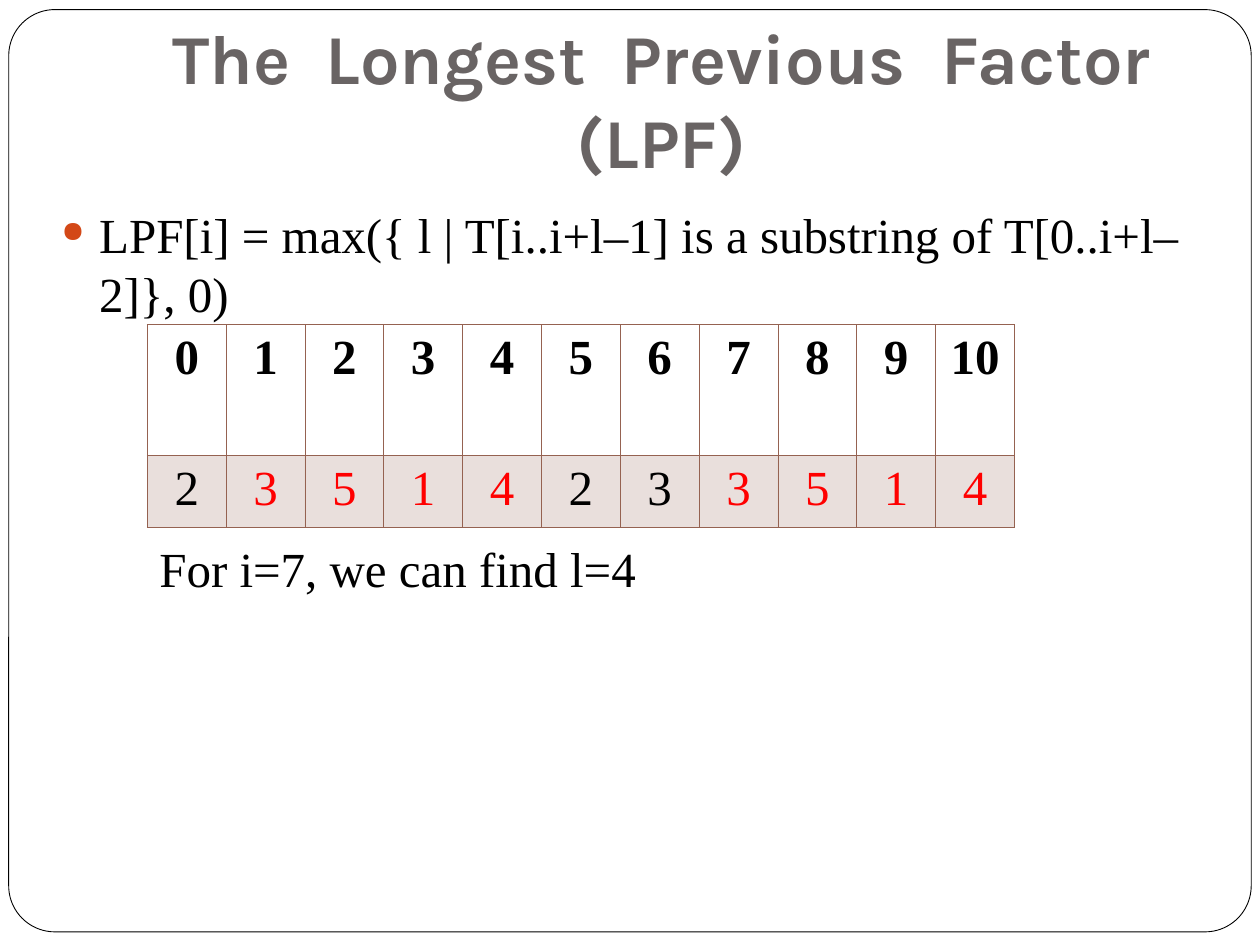
from lxml import etree
from pptx import Presentation
from pptx.dml.color import RGBColor
from pptx.enum import shapes, text
from pptx.oxml.ns import qn
from pptx.util import Pt

SERIF = "Times New Roman"
BLACK, RED, BROWN = "000000", "FF0000", "956251"
LPF_VALUES = [2, 3, 5, 1, 4, 2, 3, 3, 5, 1, 4]
MARKED = {1, 2, 3, 4, 7, 8, 9, 10}
COLUMN = 45.05


def color(code):
    return RGBColor.from_string(code)


def style(para, size, name, code, bold=False):
    font = para.font
    font.size, font.name, font.bold = Pt(size), name, bold
    font.color.rgb = color(code)


def add_frame(page):
    frame = page.shapes.add_shape(
        shapes.MSO_SHAPE.ROUNDED_RECTANGLE, Pt(5), Pt(5.5), Pt(710), Pt(527))
    frame.adjustments[0] = 0.05
    frame.shadow.inherit = False
    frame.fill.solid()
    frame.fill.fore_color.rgb = color("FFFFFF")
    frame.line.color.rgb = color(BLACK)
    frame.line.width = Pt(0.5)


def add_text(page, left, top, width, height):
    box = page.shapes.add_textbox(Pt(left), Pt(top), Pt(width), Pt(height))
    box.text_frame.word_wrap = True
    return box.text_frame


def add_title(page, words):
    frame = add_text(page, 72, 21.6, 612, 90)
    frame.vertical_anchor = text.MSO_ANCHOR.BOTTOM
    frame.margin_bottom = Pt(7.2)
    para = frame.paragraphs[0]
    para.text = words
    para.alignment = text.PP_ALIGN.CENTER
    style(para, 40, "Karla", "696464", bold=True)


def add_bullet(para, char, code, percent):
    properties = para._p.get_or_add_pPr()
    properties.set("marL", str(Pt(21.6)))
    properties.set("indent", str(Pt(-21.6)))
    tint = etree.SubElement(properties, qn("a:buClr"))
    etree.SubElement(tint, qn("a:srgbClr"), val=code)
    etree.SubElement(properties, qn("a:buSzPct"), val=str(percent * 1000))
    etree.SubElement(properties, qn("a:buChar"), char=char)


def add_body(page, definition, example):
    frame = add_text(page, 28, 113.2, 670, 392)
    first, last = frame.paragraphs[0], frame.add_paragraph()
    first.text, last.text = definition, example
    add_bullet(first, "●", "D34817", 60)
    # The example stands below the table
    last._p.get_or_add_pPr().set("marL", str(Pt(56)))
    last.space_before = Pt(124)
    for para in (first, last):
        style(para, 28, SERIF, BLACK)


def add_borders(cell, widths):
    properties = cell._tc.get_or_add_tcPr()
    for side, width in zip("LRTB", widths):
        line = etree.SubElement(properties, qn(f"a:ln{side}"), w=str(Pt(width)))
        fill = etree.SubElement(line, qn("a:solidFill"))
        etree.SubElement(fill, qn("a:srgbClr"), val=BROWN)


def fill_cell(cell, shaded):
    if not shaded:
        cell.fill.background()
        return
    cell.fill.solid()
    cell.fill.fore_color.rgb = color(BROWN)
    tint = cell._tc.tcPr.find(qn("a:solidFill")).find(qn("a:srgbClr"))
    etree.SubElement(tint, qn("a:alpha"), val="20000")


def add_lpf_table(page):
    count = len(LPF_VALUES)
    table = page.shapes.add_table(
        2, count, Pt(84.2), Pt(185.6), Pt(COLUMN * count), Pt(116)).table
    table.first_row = table.horz_banding = False
    table.rows[0].height, table.rows[1].height = Pt(74.7), Pt(41.3)
    for i, value in enumerate(LPF_VALUES):
        table.columns[i].width = Pt(COLUMN)
        for row, number in enumerate((i, value)):
            cell = table.cell(row, i)
            para = cell.text_frame.paragraphs[0]
            para.text = str(number)
            para.alignment = text.PP_ALIGN.CENTER
            code = RED if row == 1 and i in MARKED else BLACK
            style(para, 28, SERIF, code, bold=row == 0)
            top_and_bottom = (0.96, 0.45) if row else (0.45, 0.96)
            add_borders(cell, (0.45, 0.45, *top_and_bottom))
            fill_cell(cell, shaded=row == 1)


def main():
    deck = Presentation()
    deck.slide_width, deck.slide_height = Pt(720), Pt(540)
    page = deck.slides.add_slide(deck.slide_layouts[6])

    # Frame and title
    add_frame(page)
    add_title(page, "The  Longest  Previous  Factor (LPF)")

    # Definition, example and table of values
    add_body(page,
             "LPF[i] = max({ l | T[i..i+l–1] is a substring of T[0..i+l–2]}, 0)",
             "For i=7, we can find l=4")
    add_lpf_table(page)

    deck.save("out.pptx")


if __name__ == "__main__":
    main()
